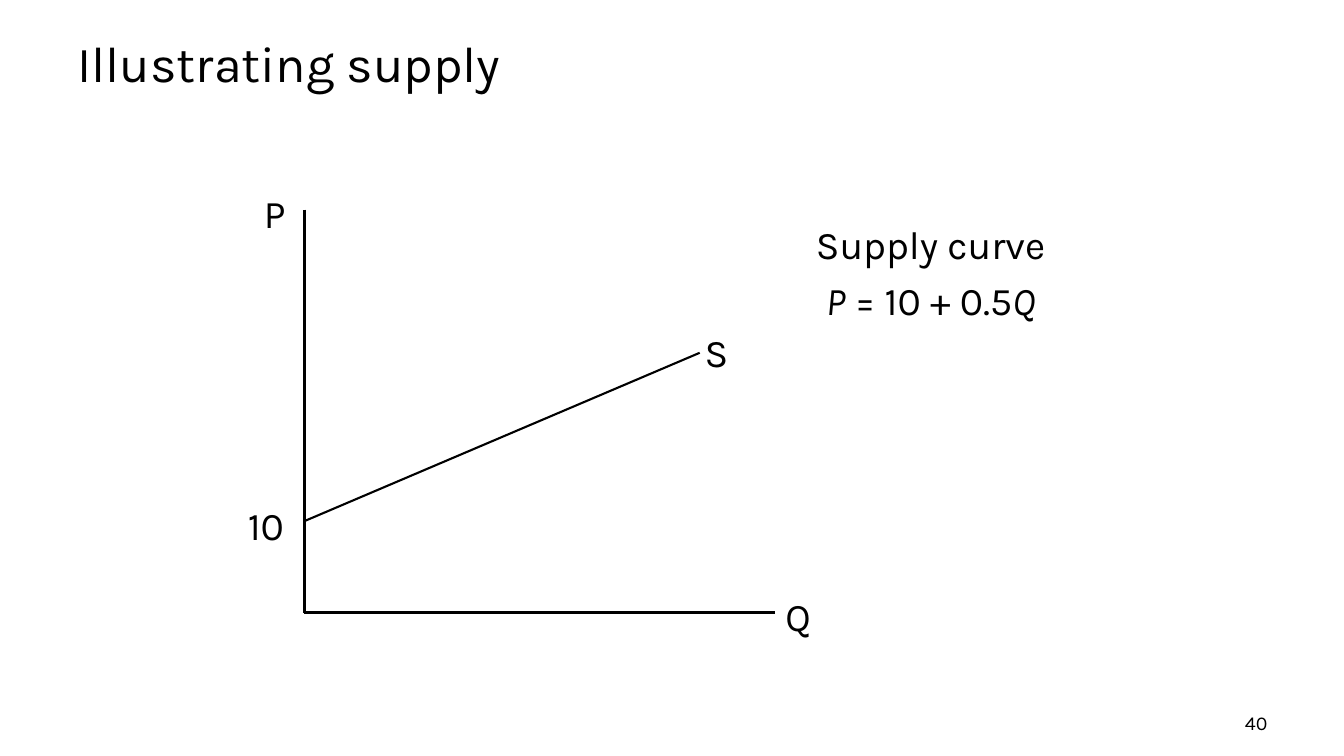
from dataclasses import dataclass

from lxml import etree
from pptx import Presentation
from pptx.dml.color import RGBColor
from pptx.enum.shapes import MSO_CONNECTOR
from pptx.enum.text import MSO_ANCHOR, MSO_AUTO_SIZE, PP_ALIGN
from pptx.oxml.ns import qn
from pptx.util import Inches, Pt

STRAIGHT = MSO_CONNECTOR.STRAIGHT
MIDDLE, TOP = MSO_ANCHOR.MIDDLE, MSO_ANCHOR.TOP
NO_FIT = MSO_AUTO_SIZE.NONE
LEFT, CENTER, RIGHT = PP_ALIGN.LEFT, PP_ALIGN.CENTER, PP_ALIGN.RIGHT
TITLE_ONLY = 5


@dataclass(frozen=True)
class Theme:
    font: str = "Karla"
    ink: RGBColor = RGBColor(0, 0, 0)
    title: int = 36
    body: int = 28
    number: int = 14
    axis: float = 2.25
    curve: float = 1.5


THEME = Theme()


@dataclass(frozen=True)
class Box:
    left: float
    top: float
    width: float
    height: float


def write(shape, lines, size, align=LEFT, anchor=TOP, space_after=0):
    """Fill a shape with lines, each a list of (text, italic) spans."""
    frame = shape.text_frame
    settings = {"word_wrap": True, "auto_size": NO_FIT, "vertical_anchor": anchor}
    for name, value in settings.items():
        setattr(frame, name, value)
    for index, line in enumerate(lines):
        para = frame.add_paragraph() if index else frame.paragraphs[0]
        para.alignment = align
        para.space_after = Pt(space_after)
        for text, italic in line:
            span = para.add_run()
            span.text = text
            formats = {"name": THEME.font, "size": Pt(size), "italic": italic}
            for name, value in formats.items():
                setattr(span.font, name, value)
            span.font.color.rgb = THEME.ink


def add_text(page, box, lines, size, **layout):
    shape = page.shapes.add_textbox(
        Inches(box.left), Inches(box.top), Inches(box.width), Inches(box.height))
    write(shape, lines, size, **layout)


def add_line(page, start, end, width):
    line = page.shapes.add_connector(
        STRAIGHT, *(Inches(value) for value in (*start, *end)))
    line.line.color.rgb = THEME.ink
    line.line.width = Pt(width)
    properties = line._element.find(qn("p:spPr"))
    etree.SubElement(properties, qn("a:effectLst"))


def add_title(page, box, text):
    title = page.shapes.title
    for name in ("left", "top", "width", "height"):
        setattr(title, name, Inches(getattr(box, name)))
    write(title, [[(text, False)]], THEME.title, anchor=MIDDLE)


def add_supply_diagram(page, box):
    """Draw the axes on the left and bottom of the box, with the supply curve."""
    right, bottom = box.left + box.width, box.top + box.height
    origin = (box.left, bottom)
    intercept = (box.left, bottom - 0.91)
    curve_end = (right - 0.75, box.top + 1.42)
    add_line(page, (box.left, box.top), origin, THEME.axis)
    add_line(page, origin, (right, bottom), THEME.axis)
    add_line(page, intercept, curve_end, THEME.curve)

    labels = [
        ("Q", right, bottom - 0.25, 0.5),
        ("P", box.left - 0.5, box.top - 0.25, 0.5),
        ("10", box.left - 0.66, intercept[1] - 0.25, 0.67),
        ("S", curve_end[0] - 0.05, curve_end[1] - 0.29, 0.5),
    ]
    for text, left, top, width in labels:
        add_text(page, Box(left, top, width, 0.57), [[(text, False)]], THEME.body)


def add_equation(page, box):
    lines = [
        [("Supply curve", False)],
        [("P", True), (" = 10 + 0.5", False), ("Q", True)],
    ]
    add_text(page, box, lines, THEME.body, align=CENTER, space_after=6)


def add_page_number(page, box, number):
    add_text(page, box, [[(number, False)]], THEME.number, align=RIGHT)


def main():
    deck = Presentation()
    deck.slide_width, deck.slide_height = Inches(13.33), Inches(7.5)
    page = deck.slides.add_slide(deck.slide_layouts[TITLE_ONLY])
    add_title(page, Box(0.67, 0.26, 12, 0.71), "Illustrating supply")
    add_page_number(page, Box(9.56, 7, 3.11, 0.34), "40")
    add_supply_diagram(page, Box(3.02, 2.08, 4.67, 4))
    add_equation(page, Box(7.52, 2.14, 3.42, 1.13))
    deck.save("out.pptx")


if __name__ == "__main__":
    main()
